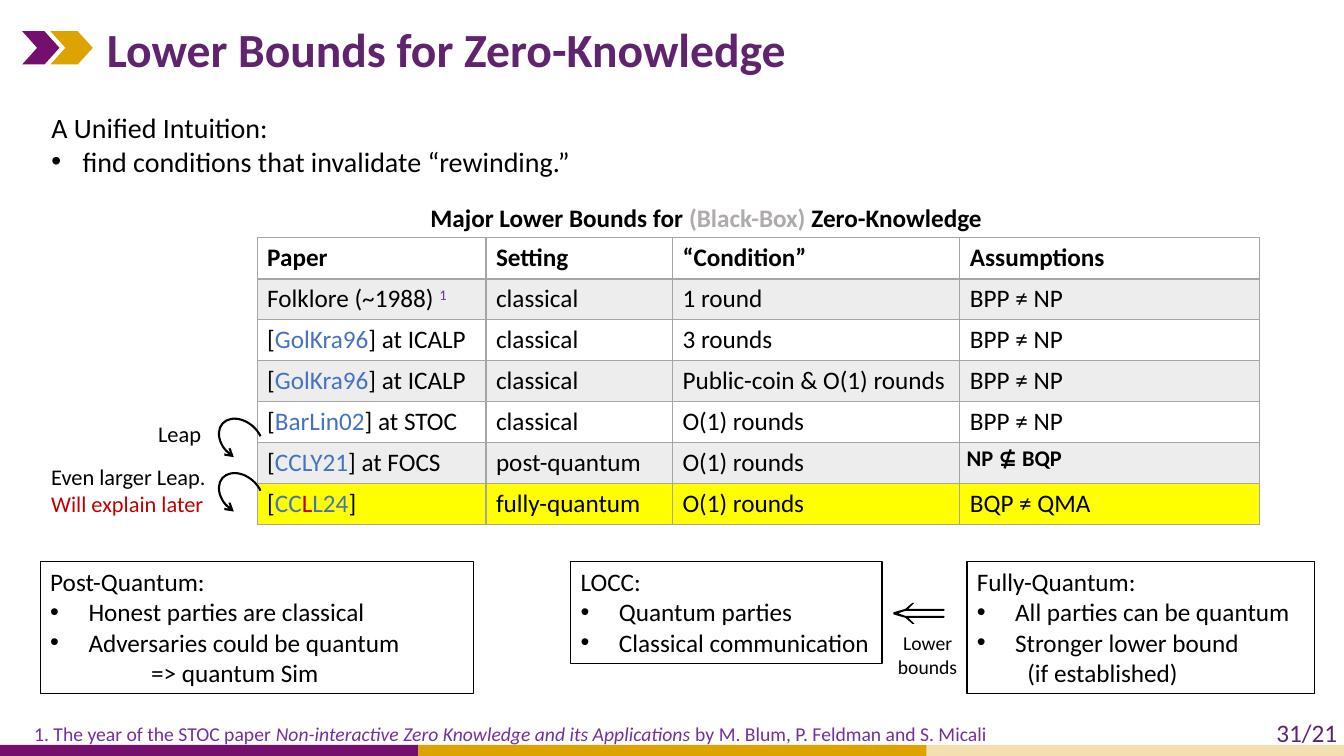
from lxml.etree import SubElement
from pptx import Presentation
from pptx.dml.color import RGBColor
from pptx.enum.shapes import MSO_SHAPE as Preset
from pptx.enum.text import MSO_ANCHOR as Anchor, PP_ALIGN as Align
from pptx.oxml.ns import qn
from pptx.util import Inches, Pt

COLORS = {
    "purple": "750F6D", "gold": "DDA300", "cream": "F4DFB0", "heading": "5F246D",
    "note": "7030A0", "cite": "4472C4", "red": "C00000", "muted": "AFABAB",
    "black": "000000", "white": "FFFFFF", "border": "A5A5A5", "band": "EDEDED",
    "highlight": "FFFF00",
}
FONT = "Calibri"

# A paragraph is a string, a list of runs, or a dict with runs and indents.
# A run is a string or a pair of text and its own format.
def bullet(text, hang=0.38):
    return {"runs": [text], "left": hang, "hang": hang}


def cited(key, venue):
    return ["[", (key, {"color": "cite"}), f"] at {venue}"]


TITLE = "Lower Bounds for Zero-Knowledge"
INTUITION = ["A Unified Intuition:",
             bullet("find conditions that invalidate “rewinding.”", 0.31)]
CAPTION = ["Major Lower Bounds for ", ("(Black-Box) ", {"color": "muted"}), "Zero-Knowledge"]
ROWS = [
    ("Paper", "Setting", "“Condition”", "Assumptions"),
    (["Folklore (~1988) ", ("1", {"color": "note", "superscript": True})],
     "classical", "1 round", "BPP ≠ NP"),
    (cited("GolKra96", "ICALP"), "classical", "3 rounds", "BPP ≠ NP"),
    (cited("GolKra96", "ICALP"), "classical", "Public-coin & O(1) rounds", "BPP ≠ NP"),
    (cited("BarLin02", "STOC"), "classical", "O(1) rounds", "BPP ≠ NP"),
    (cited("CCLY21", "FOCS"), "post-quantum", "O(1) rounds", ""),
    (["[", ("CC", {"color": "cite"}), ("L", {"color": "red"}), ("L24", {"color": "cite"}), "]"],
     "fully-quantum", "O(1) rounds", "BQP ≠ QMA"),
]
COLUMN_WIDTHS = [2.27, 1.85, 2.85, 2.97]
TABLE_LEFT, TABLE_TOP, ROW_HEIGHT = 2.55, 2.36, 0.406

BOXES = [
    ((0.4, 5.57, 4.3, 1.31),
     ["Post-Quantum:", bullet("Honest parties are classical"),
      bullet("Adversaries could be quantum"), {"runs": ["=> quantum Sim"], "left": 1}]),
    ((9.59, 5.57, 3.45, 1.31),
     ["Fully-Quantum:", bullet("All parties can be quantum"),
      bullet("Stronger lower bound"), {"runs": ["(if established)"], "left": 0.5}]),
    ((5.66, 5.57, 3.09, 1.01),
     ["LOCC:", bullet("Quantum parties"), bullet("Classical communication")]),
]
LABELS = [
    ((4.17, 1.96, 6.55, 0.4), [CAPTION], {"size": 18, "bold": True}),
    ((1.47, 4.12, 0.64, 0.37), ["Leap"], {"size": 16}),
    ((0.41, 4.55, 1.78, 0.64),
     ["Even larger Leap.", [("Will explain later", {"color": "red"})]], {"size": 16}),
    ((8.74, 6.21, 0.92, 0.57), ["Lower bounds"], {"size": 14, "align": Align.CENTER}),
    ((0.24, 7.11, 12.05, 0.34),
     [["1. The year of the STOC paper ",
       ("Non-interactive Zero Knowledge and its Applications", {"italic": True}),
       " by M. Blum, P. Feldman and S. Micali"]], {"size": 14, "color": "note"}),
    ((12.56, 7.07, 0.88, 0.4), ["31/21"], {"size": 18, "color": "heading"}),
]
FORMULA = "NP ⊈ BQP"
DECORATION = [
    (Preset.RECTANGLE, (0, 7.39, 4.15, 0.11), "purple"),
    (Preset.RECTANGLE, (4.15, 7.39, 5.04, 0.11), "gold"),
    (Preset.RECTANGLE, (9.19, 7.39, 4.14, 0.11), "cream"),
    (Preset.CHEVRON, (0.22, 0.31, 0.37, 0.33), "purple"),
    (Preset.CHEVRON, (0.5, 0.31, 0.42, 0.33), "gold"),
]
LEAP_TOPS = [4.12, 4.66]
# Upper half of the double arrow, from the tip; the lower half mirrors it.
ARROW_AXIS = 6.085
ARROW_UPPER = [(8.86, 0.01), (8.98, 0.045), (9.05, 0.105), (9.07, 0.105), (9.01, 0.045),
               (9.36, 0.045), (9.37, 0.035), (9.36, 0.025), (8.98, 0.025), (8.91, 0)]


def color(name):
    return RGBColor.from_string(COLORS[name])


def inches(values):
    return [Inches(value) for value in values]


def write(frame, paragraphs, size=18, color_name="black", bold=False, align=Align.LEFT, **extra):
    """Fill a text frame; formats given with a run win over the keywords."""
    frame.word_wrap = True
    base = {"color": extra.get("color", color_name), "italic": False, "superscript": False}
    for index, item in enumerate(paragraphs):
        paragraph = frame.paragraphs[0] if index == 0 else frame.add_paragraph()
        details = item if isinstance(item, dict) else {"runs": item}
        runs = details["runs"]
        hang = details.get("hang", 0)
        properties = paragraph._p.get_or_add_pPr()
        properties.set("marL", str(Inches(details.get("left", 0))))
        properties.set("indent", str(-Inches(hang)))
        if hang:
            SubElement(properties, qn("a:buFont"), typeface="Arial")
            SubElement(properties, qn("a:buChar"), char="•")
        else:
            SubElement(properties, qn("a:buNone"))
        paragraph.alignment = align
        paragraph.space_before = Pt(0)
        for part in [runs] if isinstance(runs, str) else runs:
            text, own = (part, {}) if isinstance(part, str) else part
            style = {**base, **own}
            run = paragraph.add_run()
            run.text = text
            font = run.font
            font.name, font.size = FONT, Pt(size)
            font.bold, font.italic = bold, style["italic"]
            font.color.rgb = color(style["color"])
            if style["superscript"]:
                run._r.get_or_add_rPr().set("baseline", "30000")


def place(shape, bounds):
    shape.left, shape.top, shape.width, shape.height = inches(bounds)


def paint(shape, fill=None, line=None, width=1):
    shape.shadow.inherit = False
    if fill:
        shape.fill.solid()
        shape.fill.fore_color.rgb = color(fill)
    else:
        shape.fill.background()
    if line:
        shape.line.color.rgb = color(line)
        shape.line.width = Pt(width)
    else:
        shape.line.fill.background()


def set_borders(cell, bottom):
    properties = cell._tc.get_or_add_tcPr()
    for index, (side, width) in enumerate([("L", 1), ("R", 1), ("T", 1), ("B", bottom)]):
        line = SubElement(properties, qn(f"a:ln{side}"), w=str(Pt(width)))
        fill = SubElement(line, qn("a:solidFill"))
        SubElement(fill, qn("a:srgbClr"), val=COLORS["border"])
        properties.insert(index, line)


def add_bounds_table(slide):
    frame = slide.shapes.add_table(
        len(ROWS), len(COLUMN_WIDTHS),
        *inches((TABLE_LEFT, TABLE_TOP, sum(COLUMN_WIDTHS), ROW_HEIGHT * len(ROWS))))
    table = frame.table
    table.first_row = table.horz_banding = False
    for column, width in zip(table.columns, COLUMN_WIDTHS):
        column.width = Inches(width)
    for row_index, row in enumerate(ROWS):
        table.rows[row_index].height = Inches(ROW_HEIGHT)
        last = row_index == len(ROWS) - 1
        fill = "highlight" if last else "band" if row_index % 2 else "white"
        for column_index, content in enumerate(row):
            cell = table.cell(row_index, column_index)
            if content:
                write(cell.text_frame, [content], bold=row_index == 0)
            cell.fill.solid()
            cell.fill.fore_color.rgb = color(fill)
            set_borders(cell, bottom=2 if row_index == 0 else 1)


def add_leap_arrow(slide, top):
    arc = slide.shapes.add_shape(Preset.ARC, *inches((2.21, top, 0.36, 0.49)))
    for index, degrees in enumerate((142.15, 19.15)):
        arc.adjustments[index] = degrees * 0.6
    arc.rotation = 311.7
    arc.element.spPr.xfrm.set("flipH", "1")
    paint(arc, line="black", width=1.5)
    SubElement(arc.line._get_or_add_ln(), qn("a:tailEnd"), type="arrow")


def add_implication_arrow(slide):
    outline = [(x, ARROW_AXIS - rise) for x, rise in ARROW_UPPER]
    outline += [(x, ARROW_AXIS + rise) for x, rise in reversed(ARROW_UPPER)]
    points = [inches(point) for point in outline]
    builder = slide.shapes.build_freeform(*points[0], scale=1.0)
    builder.add_line_segments(points[1:], close=True)
    paint(builder.convert_to_shape(), fill="black")


def main():
    presentation = Presentation()
    presentation.slide_width, presentation.slide_height = inches((13.33, 7.5))
    slide = presentation.slides.add_slide(presentation.slide_layouts[1])
    title, body = slide.placeholders
    for preset, bounds, fill in DECORATION:
        shape = slide.shapes.add_shape(preset, *inches(bounds))
        if preset == Preset.CHEVRON:
            shape.adjustments[0] = 0.45
        paint(shape, fill)
    place(title, (0.96, 0.12, 11.21, 0.73))
    title.text_frame.vertical_anchor = Anchor.MIDDLE
    write(title.text_frame, [TITLE], size=34, color="heading", bold=True)
    place(body, (0.41, 1.05, 9.31, 0.77))
    write(body.text_frame, INTUITION, size=20)
    add_bounds_table(slide)
    for bounds, paragraphs, style in LABELS:
        write(slide.shapes.add_textbox(*inches(bounds)).text_frame, paragraphs, **style)
    formula = slide.shapes.add_textbox(*inches((9.49, 4.36, 1.5, 0.37))).text_frame
    write(formula, [FORMULA], size=16, bold=True)
    for top in LEAP_TOPS:
        add_leap_arrow(slide, top)
    for bounds, paragraphs in BOXES:
        box = slide.shapes.add_shape(Preset.RECTANGLE, *inches(bounds))
        paint(box, "white", "black")
        box.text_frame.vertical_anchor = Anchor.TOP
        write(box.text_frame, paragraphs)
    add_implication_arrow(slide)
    presentation.save("out.pptx")


if __name__ == "__main__":
    main()
